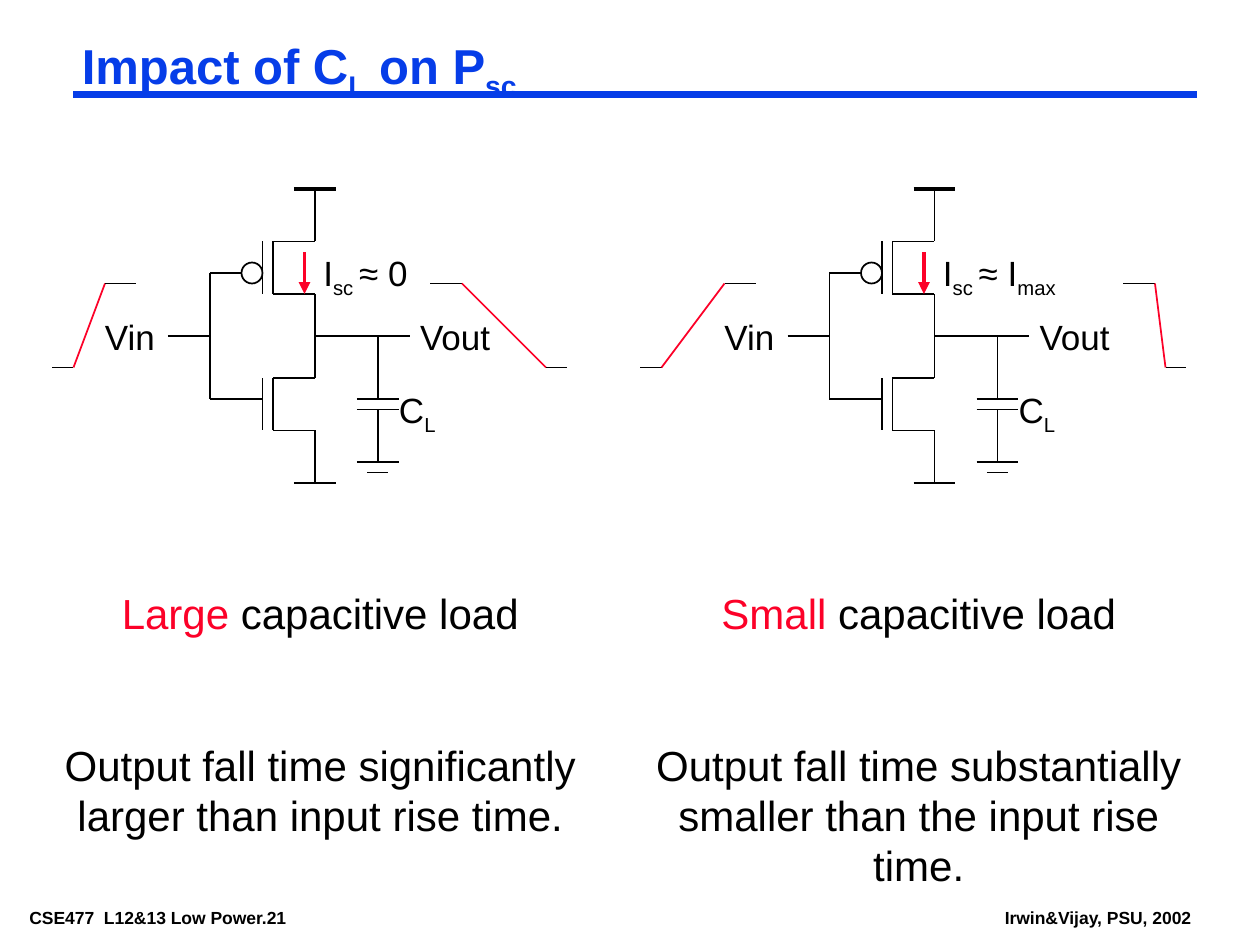
from lxml import etree
from pptx import Presentation
from pptx.dml.color import RGBColor
from pptx.enum.shapes import MSO_CONNECTOR, MSO_SHAPE
from pptx.enum.text import MSO_ANCHOR, PP_ALIGN
from pptx.oxml.ns import qn
from pptx.util import Emu, Pt

SCALE = 7620
STRAIGHT = MSO_CONNECTOR.STRAIGHT
OVAL = MSO_SHAPE.OVAL
TOP = MSO_ANCHOR.TOP
LEFT, CENTER = PP_ALIGN.LEFT, PP_ALIGN.CENTER
FONT = "Arial"
COLORS = {"ink": "000000", "accent": "FC0128", "title": "063DE8"}

WIRES = [
    (160, 50, 160, 100), (150, 50, 150, 100),
    (160, 180, 160, 230), (150, 180, 150, 230),
    (100, 80, 130, 80), (100, 200, 150, 200), (100, 80, 100, 200),
    (60, 140, 100, 140), (200, 140, 290, 140),
    (160, 50, 200, 50), (160, 100, 200, 100),
    (160, 180, 200, 180), (160, 230, 200, 230),
    (200, 0, 200, 50), (200, 100, 200, 180), (200, 230, 200, 280),
    (180, 280, 220, 280),
    (260, 140, 260, 200), (240, 200, 280, 200), (240, 210, 280, 210),
    (260, 210, 260, 260), (240, 260, 280, 260), (250, 270, 270, 270),
]


def px(length):
    """Turn px into EMU."""
    return Emu(length * SCALE)


def rgb(name):
    """Look up a named colour."""
    return RGBColor.from_string(COLORS[name])


def add_line(slide, x1, y1, x2, y2, color="ink", width=1, arrow=False):
    """Draw a straight line, with an arrowhead at its end if asked."""
    line = slide.shapes.add_connector(STRAIGHT, px(x1), px(y1), px(x2), px(y2))
    line.line.color.rgb = rgb(color)
    line.line.width = Pt(width)
    etree.SubElement(line._element.spPr, qn("a:effectLst"))
    if arrow:
        etree.SubElement(line.line._get_or_add_ln(), qn("a:tailEnd"), type="triangle")


def set_insets(frame, side, end):
    """Set the side and the top and bottom insets of a text frame."""
    frame.margin_left = frame.margin_right = px(side)
    frame.margin_top = frame.margin_bottom = px(end)
    frame.vertical_anchor = TOP


def add_run(paragraph, text, size, color="ink", bold=False, subscript=False):
    """Append one formatted run."""
    run = paragraph.add_run()
    run.text = text
    run.font.name = FONT
    run.font.size = Pt(size)
    run.font.bold = bold
    run.font.color.rgb = rgb(color)
    if subscript:
        run._r.get_or_add_rPr().set("baseline", "-25000")


def add_subscripted(paragraph, parts, size, color="ink", bold=False):
    """Add runs in turn as plain text and subscript."""
    for index, part in enumerate(parts):
        add_run(paragraph, part, size, color, bold, index % 2 == 1)


def add_frame(slide, x, y, width, height, wrap=False, insets=(0, 0)):
    """Add an empty text box and return its frame."""
    box = slide.shapes.add_textbox(px(x), px(y), px(width), px(height))
    frame = box.text_frame
    frame.word_wrap = wrap
    set_insets(frame, *insets)
    return frame


def add_header(slide, x, y, width, height):
    """Place the title and the rule under it."""
    add_line(slide, x, y + 60, x + width, y + 60, "title", 4.5)
    title = slide.shapes.title
    title.left, title.top = px(x), px(y)
    title.width, title.height = px(width), px(height)
    set_insets(title.text_frame, 8, 4)
    heading = title.text_frame.paragraphs[0]
    heading.alignment = LEFT
    add_subscripted(heading, ["Impact of C", "L", " on P", "sc"], 28, "title", True)


def add_ramp(slide, points):
    """Draw a signal edge: flat, sloped in the accent colour, flat."""
    colors = ("ink", "accent", "ink")
    for start, end, color in zip(points, points[1:], colors):
        add_line(slide, *start, *end, color)


def add_inverter(slide, x, y, current, current_width, rise, fall):
    """Draw an inverter with its load, labels and signal edges."""
    for x1, y1, x2, y2 in WIRES:
        add_line(slide, x + x1, y + y1, x + x2, y + y2)
    add_line(slide, x + 180, y, x + 220, y, width=2.25)
    add_line(slide, x + 190, y + 60, x + 190, y + 100, "accent", 2.25, True)

    bubble = slide.shapes.add_shape(OVAL, px(x + 130), px(y + 70), px(20), px(20))
    bubble.shadow.inherit = False
    bubble.fill.background()
    bubble.line.color.rgb = rgb("ink")
    bubble.line.width = Pt(1)

    labels = [
        (["Vin"], 0, 120, 48, 40),
        (["Vout"], 300, 120, 68, 40),
        (["C", "L"], 280, 190, 35, 46),
        (current, 208, 60, current_width, 46),
    ]
    for parts, left, top, width, height in labels:
        frame = add_frame(slide, x + left, y + top, width, height)
        add_subscripted(frame.paragraphs[0], parts, 20)

    high, low = y + 90, y + 170
    add_ramp(slide, [(x - rise - 20, low), (x - rise, low), (x, high), (x + 30, high)])
    fall_end = x + 420
    fall_start = fall_end - fall
    add_ramp(slide, [(fall_start - 30, high), (fall_start, high),
                     (fall_end, low), (fall_end + 20, low)])


def add_caption(slide, x, y, width, height, load, remark):
    """Write the load heading and the remark below it."""
    frame = add_frame(slide, x, y, width, height, wrap=True)
    heading = frame.paragraphs[0]
    add_run(heading, load, 24, "accent")
    add_run(heading, " capacitive load", 24)
    body = frame.add_paragraph()
    body.space_before = Pt(57.6)
    add_run(body, remark, 24)
    heading.alignment = body.alignment = CENTER


def add_footer(slide, x, y, width, height, text):
    """Write one footer text."""
    frame = add_frame(slide, x, y, width, height, insets=(8, 4))
    add_run(frame.paragraphs[0], text, 10, bold=True)


def main():
    """Build the slide and save it."""
    deck = Presentation()
    deck.slide_width, deck.slide_height = px(1200), px(900)
    slide = deck.slides.add_slide(deck.slide_layouts[5])
    add_footer(slide, 20, 860, 324, 26, "CSE477  L12&13 Low Power.21")
    add_footer(slide, 949, 860, 196, 26, "Irwin&Vijay, PSU, 2002")
    add_header(slide, 70, 30, 1070, 62)
    add_inverter(slide, 100, 180, ["I", "sc ", "≈ 0"], 89, rise=30, fall=80)
    add_inverter(slide, 690, 180, ["I", "sc ", "≈ I", "max"], 116, rise=60, fall=10)
    add_caption(slide, 50, 560, 510, 240, "Large",
                "Output fall time significantly larger than input rise time.")
    add_caption(slide, 620, 560, 510, 288, "Small",
                "Output fall time substantially smaller than the input rise time.")
    deck.save("out.pptx")


if __name__ == "__main__":
    main()
